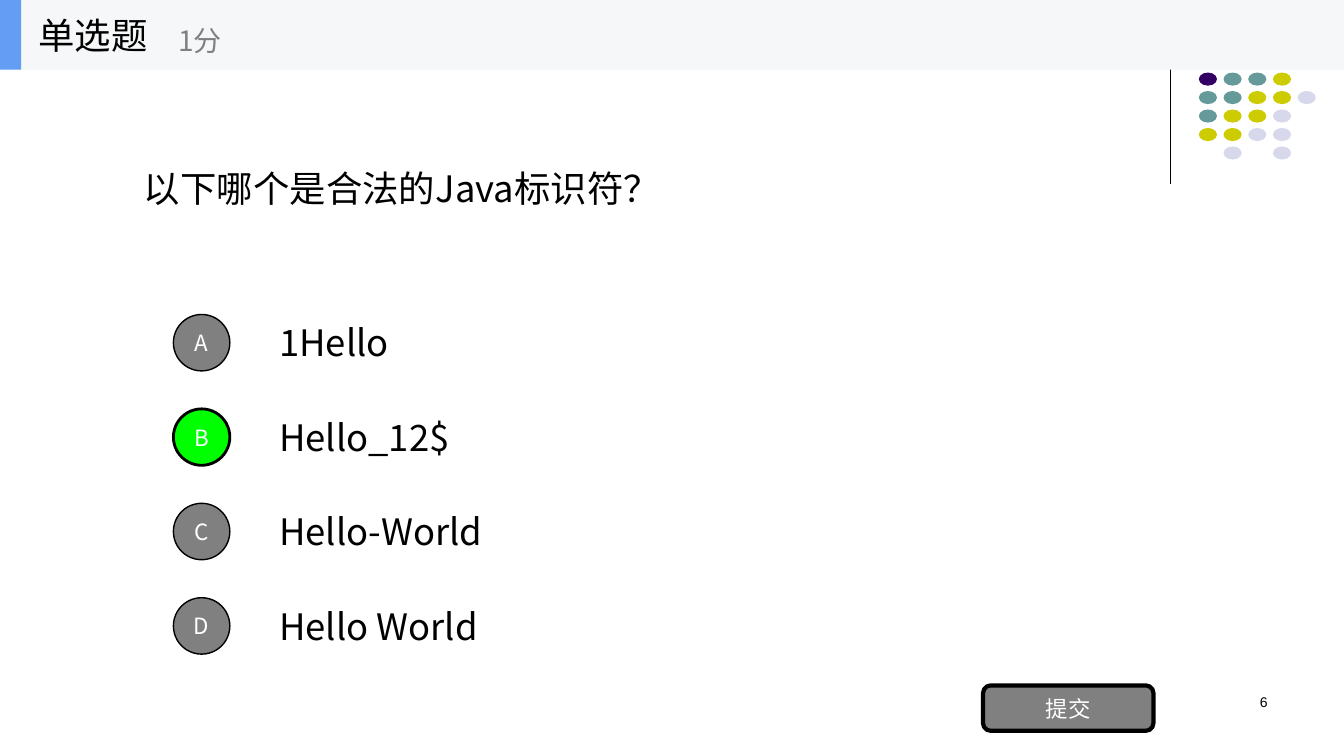
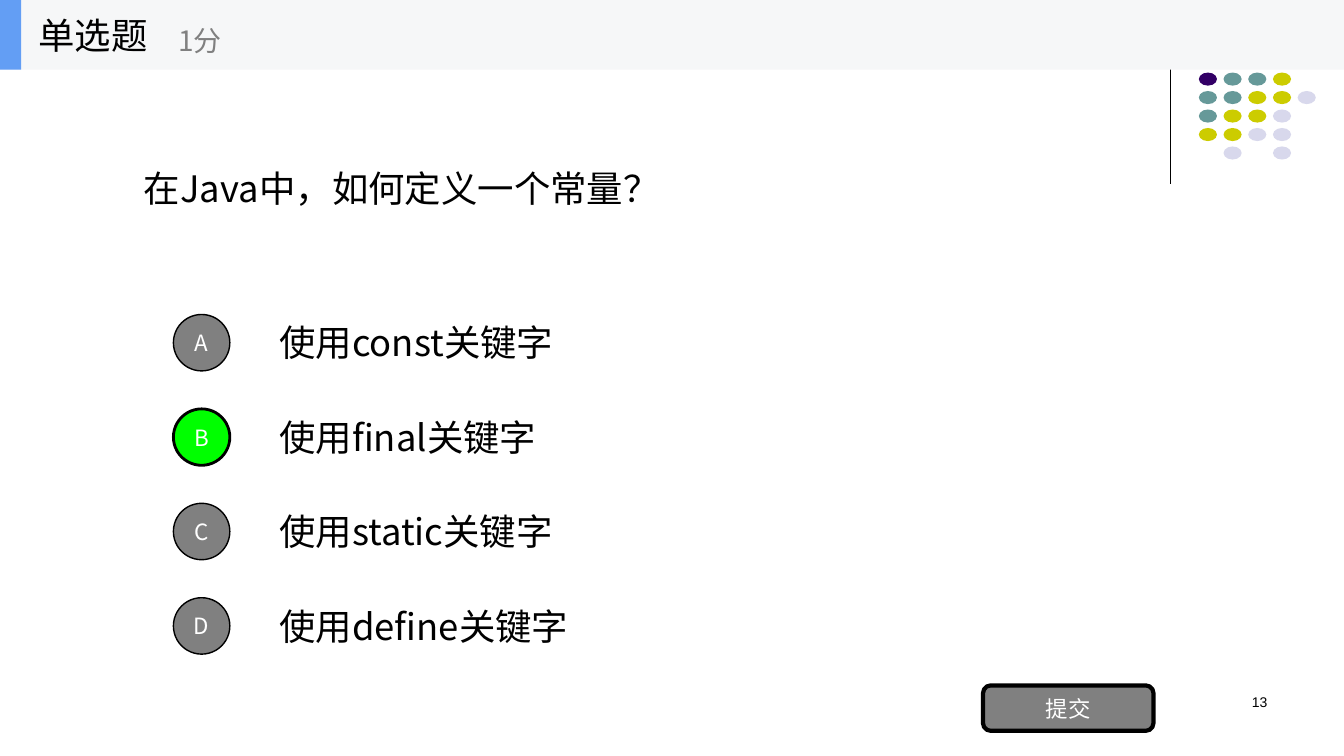
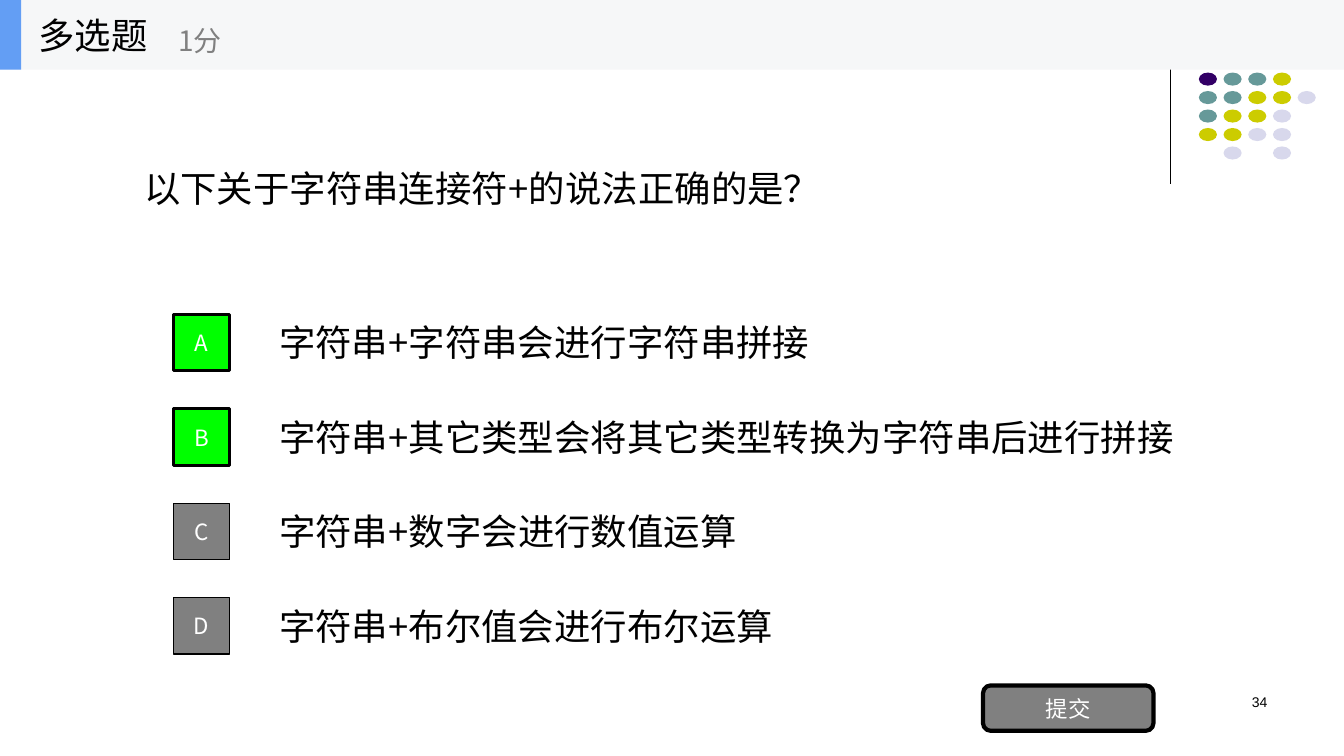
from pptx import Presentation
from pptx.dml.color import RGBColor
from pptx.enum.lang import MSO_LANGUAGE_ID as Lang
from pptx.enum.shapes import MSO_CONNECTOR as Link, MSO_SHAPE as Form
from pptx.enum.text import MSO_ANCHOR as Anchor, MSO_AUTO_SIZE as Fit, PP_ALIGN as Align
from pptx.oxml.ns import qn
from pptx.util import Pt
from lxml.etree import SubElement

BLACK = RGBColor(0x00, 0x00, 0x00)
WHITE = RGBColor(0xFF, 0xFF, 0xFF)
GREY = RGBColor(0x80, 0x80, 0x80)
GREEN = RGBColor(0x00, 0xFF, 0x00)
BAND = RGBColor(0xF6, 0xF7, 0xF8)
BLUE = RGBColor(0x63, 0x9E, 0xF4)
TONES = {
    "P": RGBColor(0x33, 0x00, 0x66),
    "T": RGBColor(0x66, 0x99, 0x99),
    "Y": RGBColor(0xCC, 0xCC, 0x00),
    "L": RGBColor(0xD8, 0xD8, 0xEC),
}
DOTS = ["PTTY", "TTYYL", "TYYL", "YYLL", ".L.L"]
SANS = "Noto Sans CJK SC"
SCORE = "1分"
SUBMIT = "提交"
WIDE, HIGH, TOP = 1333, 750, 69

QUIZ = [
    dict(
        kind="单选题", mark=Form.OVAL, page="6", right="B",
        ask=("以下哪个是合法的Java标识符？", 536),
        picks=[("1Hello", 142), ("Hello_12$", 201),
               ("Hello-World", 242), ("Hello World", 237)],
    ),
    dict(
        kind="单选题", mark=Form.OVAL, page="13", right="B",
        ask=("在Java中，如何定义一个常量？", 536),
        picks=[("使用const关键字", 305), ("使用final关键字", 285),
               ("使用static关键字", 302), ("使用define关键字", 320)],
    ),
    dict(
        kind="多选题", mark=Form.RECTANGLE, page="34", right="AB",
        ask=("以下关于字符串连接符+的说法正确的是？", 708),
        picks=[("字符串+字符串会进行字符串拼接", 563),
               ("字符串+其它类型会将其它类型转换为字符串后进行拼接", 924),
               ("字符串+数字会进行数值运算", 491),
               ("字符串+布尔值会进行布尔运算", 527)],
    ),
]


def px(*nums):
    return [round(n * 9144) for n in nums]


def write(shape, text, size=26, color=BLACK, font=SANS, align=Align.LEFT,
          anchor=Anchor.MIDDLE, fit=Fit.NONE):
    frame = shape.text_frame
    frame.text = text
    frame.word_wrap = True
    frame.auto_size = fit
    frame.vertical_anchor = anchor
    para = frame.paragraphs[0]
    para.alignment = align
    run = para.runs[0]
    run.font.size = Pt(size)
    run.font.name = font
    run.font.color.rgb = color
    run.font.language_id = Lang.SIMPLIFIED_CHINESE
    SubElement(run.font._element, qn("a:ea")).set("typeface", font)


def label(slide, box, text, **style):
    write(slide.shapes.add_textbox(*px(*box)), text, **style)


def draw(shapes, form, box, fill, edge=0):
    shape = shapes.add_shape(form, *px(*box))
    shape.shadow.inherit = False
    shape.fill.solid()
    shape.fill.fore_color.rgb = fill
    if edge:
        shape.line.color.rgb = BLACK
        shape.line.width = Pt(edge)
    else:
        shape.line.fill.background()
    return shape


def decor(slide):
    rule = slide.shapes.add_connector(Link.STRAIGHT, *px(1161, 17, 1161, 183))
    rule.line.color.rgb = BLACK
    rule.line.width = Pt(0.75)
    SubElement(rule.element.spPr, qn("a:effectLst"))
    dots = slide.shapes.add_group_shape()
    for row, tones in enumerate(DOTS):
        for col, tone in enumerate(tones):
            if tone in TONES:
                box = (1189 + col * 49 / 2, 72 + row * 55 / 3, 18, 13)
                draw(dots.shapes, Form.OVAL, box, TONES[tone])
    parts = [rule, dots,
             draw(slide.shapes, Form.RECTANGLE, (0, 0, WIDE, TOP), BAND),
             draw(slide.shapes, Form.RECTANGLE, (0, 0, 21, TOP), BLUE)]
    layout = slide.slide_layout
    for part in parts:
        layout.shapes.element.append(part.element)
    for num, item in enumerate(layout.element.iter(qn("p:cNvPr")), 1):
        item.set("id", str(num))


def build(slide, quiz):
    title = slide.shapes.title
    title.left, title.top, title.width, title.height = px(28, 0, 208, TOP)
    write(title, quiz["kind"])
    label(slide, (167, 12, 250, 56), SCORE, size=20, color=GREY)
    text, width = quiz["ask"]
    label(slide, (133, 160, width, 53), text, fit=Fit.SHAPE_TO_FIT_TEXT)
    for row, (key, (text, width)) in enumerate(zip("ABCD", quiz["picks"])):
        top = 312 + row * 281 / 3
        label(slide, (267, top + 1, width, 53), text, fit=Fit.SHAPE_TO_FIT_TEXT)
        fill, edge = (GREEN, 2) if key in quiz["right"] else (GREY, 1)
        mark = draw(slide.shapes, quiz["mark"], (172, top, 56, 56), fill, edge)
        write(mark, key, size=16, color=WHITE, align=Align.CENTER)
    button = draw(slide.shapes, Form.ROUNDED_RECTANGLE, (975, 680, 169, 45), GREY, 3)
    write(button, SUBMIT, size=16, color=WHITE, align=Align.CENTER)
    label(slide, (956, 683, 311, 50), quiz["page"], size=10, font="Arial",
          align=Align.RIGHT, anchor=Anchor.TOP)


def main():
    deck = Presentation()
    deck.slide_width, deck.slide_height = px(WIDE, HIGH)
    layout = deck.slide_layouts[5]
    slides = [deck.slides.add_slide(layout) for _ in QUIZ]
    decor(slides[0])
    for slide, quiz in zip(slides, QUIZ):
        build(slide, quiz)
    deck.save("out.pptx")


if __name__ == "__main__":
    main()
